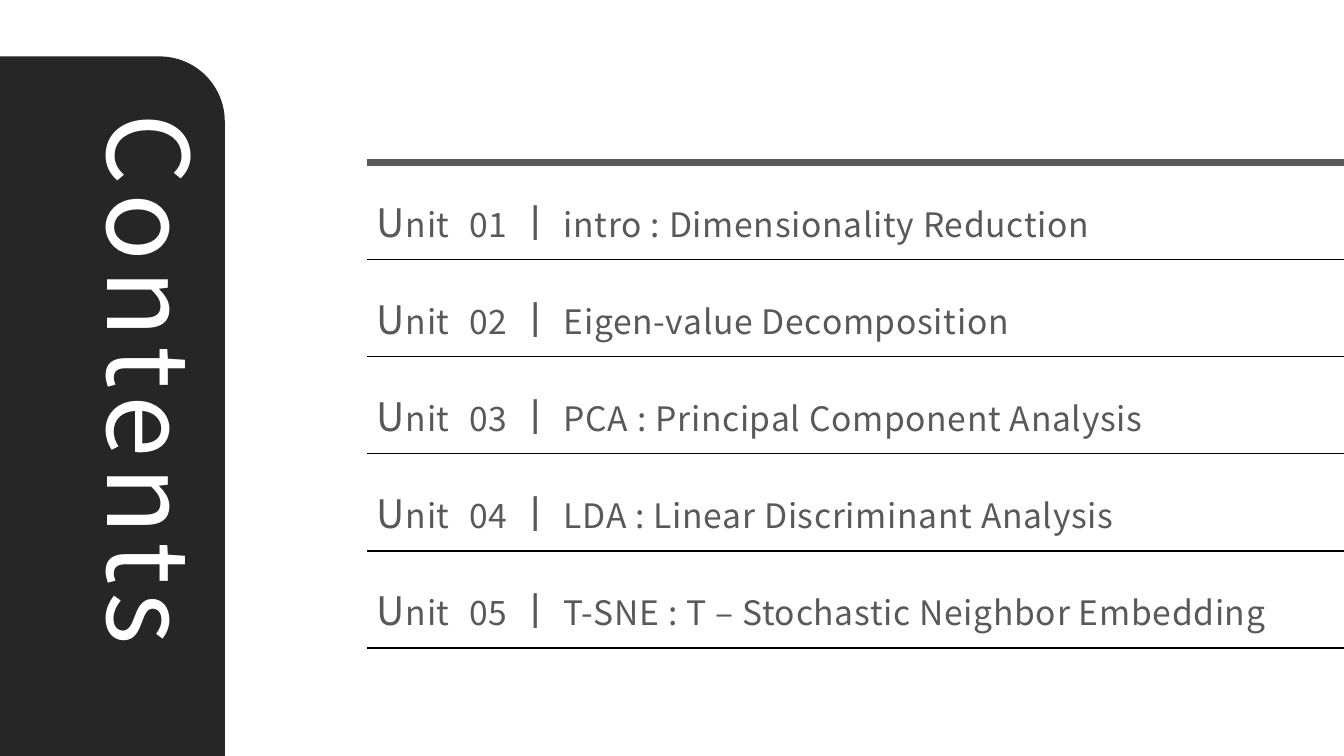
from lxml.etree import SubElement
from pptx import Presentation
from pptx.dml.color import RGBColor
from pptx.enum.shapes import MSO_CONNECTOR, MSO_SHAPE
from pptx.enum.text import MSO_ANCHOR, MSO_AUTO_SIZE
from pptx.oxml.ns import qn
from pptx.util import Inches, Pt

FONT = "Noto Sans CJK KR"
COLORS = {"panel": "262626", "title": "FFFFFF", "text": "595959", "rule": "000000"}
UNITS = [
    "intro : Dimensionality Reduction",
    "Eigen-value Decomposition",
    "PCA : Principal Component Analysis",
    "LDA : Linear Discriminant Analysis",
    "T-SNE : T – Stochastic Neighbor Embedding",
]


def color(name):
    """Return the named palette color."""
    return RGBColor.from_string(COLORS[name])


def style(item, values):
    """Set each attribute in values on item."""
    for name, value in values.items():
        setattr(item, name, value)


def add_run(para, text, size, tone, gap):
    """Append a run with its size, color and letter spacing in points."""
    run = para.add_run()
    run.text = text
    style(run.font, {"name": FONT, "size": Pt(size)})
    run.font.color.rgb = color(tone)
    props = run.font._element
    props.set("spc", str(round(gap * 100)))
    SubElement(props, qn("a:ea")).set("typeface", FONT)


def add_text(slide, box, runs, tone, frame):
    """Place a one-paragraph text box holding (text, size, gap) runs."""
    shape = slide.shapes.add_textbox(*map(Inches, box))
    style(shape.text_frame, {"word_wrap": True, **frame})
    for text, size, gap in runs:
        add_run(shape.text_frame.paragraphs[0], text, size, tone, gap)
    return shape


def add_rule(slide, left, top, width, tone, weight):
    """Draw a horizontal rule."""
    ends = map(Inches, (left, top, left + width, top))
    rule = slide.shapes.add_connector(MSO_CONNECTOR.STRAIGHT, *ends)
    rule.line.color.rgb = color(tone)
    rule.line.width = Pt(weight)
    SubElement(rule._element.spPr, qn("a:effectLst"))


def add_panel(slide, left, top, width, height):
    """Draw the dark side panel with its sideways title."""
    box = map(Inches, (left, top, width, height))
    panel = slide.shapes.add_shape(MSO_SHAPE.ROUND_1_RECTANGLE, *box)
    panel.adjustments[0] = 0.29
    panel.shadow.inherit = False
    panel.fill.solid()
    panel.fill.fore_color.rgb = color("panel")
    panel.line.fill.background()
    spot = (left - 1.98, top + 3.23, 6.97, 1.45)
    frame = {"auto_size": MSO_AUTO_SIZE.SHAPE_TO_FIT_TEXT}
    title = add_text(slide, spot, [("Contents", 80, 6)], "title", frame)
    title.rotation = 90


def add_units(slide, left, top, width, height):
    """List the units in even rows under a thick rule."""
    add_rule(slide, left, top, width, "text", 5)
    step = height / len(UNITS)
    frame = {"vertical_anchor": MSO_ANCHOR.MIDDLE}
    for num, name in enumerate(UNITS, 1):
        base = top + num * step
        runs = [
            ("U", 28, 0.5),
            ("nit", 24, 0.5),
            (" ", 28, 7.3),
            (f"{num:02}", 24, 0.5),
            (" ㅣ ", 28, 0.5),
            (name, 24, 0.5),
        ]
        add_text(slide, (left, base - 0.76, width - 0.26, 0.77), runs, "text", frame)
        add_rule(slide, left, base, width, "rule", 1)


def main():
    """Build and save the contents slide."""
    deck = Presentation()
    style(deck, {"slide_width": Inches(13.33), "slide_height": Inches(7.5)})
    slide = deck.slides.add_slide(deck.slide_layouts[6])
    add_panel(slide, 0, 0.56, 2.23, 6.94)
    add_units(slide, 3.64, 1.61, 9.69, 4.82)
    deck.save("out.pptx")


if __name__ == "__main__":
    main()
